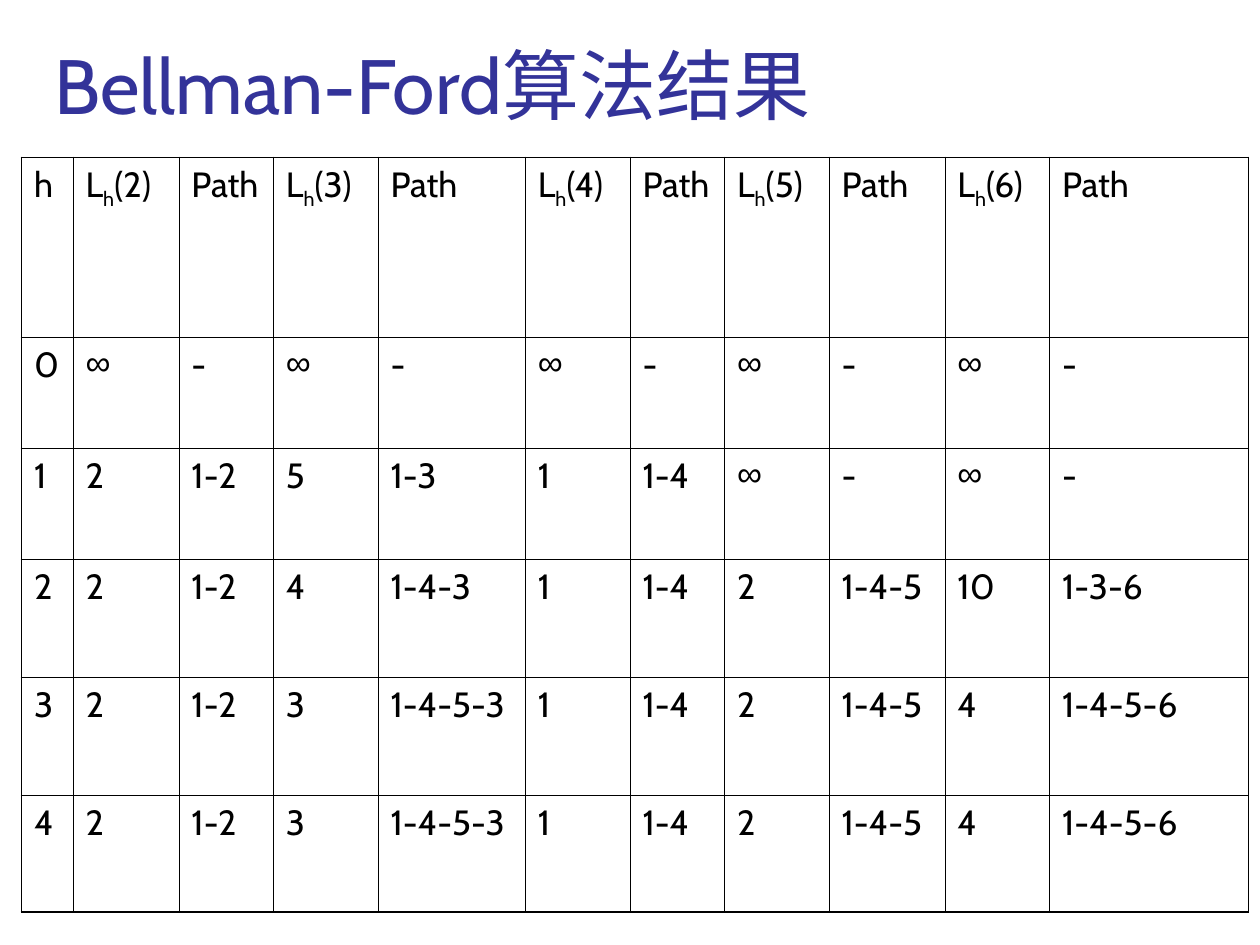
from lxml.etree import SubElement
from pptx import Presentation
from pptx.dml.color import RGBColor
from pptx.enum.text import MSO_ANCHOR, MSO_AUTO_SIZE, PP_ALIGN
from pptx.oxml.ns import qn
from pptx.util import Inches, Pt

TITLE_BOX = (0.33, 0.25, 9.34, 1.25)
TABLE_BOX = (0.17, 1.25, 9.75, 6)
COLUMN_WIDTHS = (0.41, 0.84, 0.75, 0.83, 1.17, 0.83, 0.75, 0.83, 0.92, 0.83, 1.58)
ROW_HEIGHTS = (1.43, 0.88, 0.88, 0.94, 0.93, 0.93)
NODES = range(2, 7)
OUTER, INNER = 1.08, 0.45

# One row per value of h: the label, then a cost and a path for each node
RESULTS = [
    "0 ∞ - ∞ - ∞ - ∞ - ∞ -",
    "1 2 1-2 5 1-3 1 1-4 ∞ - ∞ -",
    "2 2 1-2 4 1-4-3 1 1-4 2 1-4-5 10 1-3-6",
    "3 2 1-2 3 1-4-5-3 1 1-4 2 1-4-5 4 1-4-5-6",
    "4 2 1-2 3 1-4-5-3 1 1-4 2 1-4-5 4 1-4-5-6",
]


def color(value):
    return RGBColor.from_string(value)


def add_text(para, text, size=20, font="Cabin", fill="000000", baseline=0):
    span = para.add_run()
    span.text = text
    span.font.size = Pt(size)
    span.font.name = font
    span.font.color.rgb = color(fill)
    if baseline:
        span._r.get_or_add_rPr().set("baseline", str(baseline * 1000))


def set_borders(cell, widths, fill="000000"):
    properties = cell._tc.get_or_add_tcPr()
    for side, width in zip("LRTB", widths):
        line = SubElement(properties, qn(f"a:ln{side}"), w=str(Pt(width)))
        solid = SubElement(line, qn("a:solidFill"))
        SubElement(solid, qn("a:srgbClr"), val=fill)


def place_title(page, box):
    title = page.shapes.title
    title.left, title.top, title.width, title.height = map(Inches, box)
    frame = title.text_frame
    frame.auto_size = MSO_AUTO_SIZE.NONE
    frame.vertical_anchor = MSO_ANCHOR.TOP
    para = frame.paragraphs[0]
    para.alignment = PP_ALIGN.LEFT
    add_text(para, "Bellman-Ford算法结果", size=44, fill="333399")


def fill_header(table):
    add_text(table.cell(0, 0).text_frame.paragraphs[0], "h")
    for index, node in enumerate(NODES):
        cost, route = (table.cell(0, 2 * index + k).text_frame.paragraphs[0] for k in (1, 2))
        add_text(cost, "L")
        add_text(cost, "h", baseline=-25)
        add_text(cost, f"({node})")
        add_text(route, "Path")


def place_results(page, box):
    rows, columns = len(ROW_HEIGHTS), len(COLUMN_WIDTHS)
    table = page.shapes.add_table(rows, columns, *map(Inches, box)).table
    table.first_row = table.horz_banding = False
    for column, width in zip(table.columns, COLUMN_WIDTHS):
        column.width = Inches(width)
    for row, height in zip(table.rows, ROW_HEIGHTS):
        row.height = Inches(height)

    # Heavier frame around a thin grid
    for r in range(rows):
        for c in range(columns):
            cell = table.cell(r, c)
            on_frame = (c == 0, c == columns - 1, r == 0, r == rows - 1)
            set_borders(cell, [OUTER if edge else INNER for edge in on_frame])
            cell.fill.background()

    # Header, then the values
    fill_header(table)
    for r, result in enumerate(RESULTS, start=1):
        for c, value in enumerate(result.split()):
            add_text(table.cell(r, c).text_frame.paragraphs[0], value,
                     font="Arial" if value == "∞" else "Cabin")


def main():
    deck = Presentation()
    deck.slide_width, deck.slide_height = Inches(10), Inches(7.5)
    page = deck.slides.add_slide(deck.slide_layouts[5])
    place_title(page, TITLE_BOX)
    place_results(page, TABLE_BOX)
    deck.save("out.pptx")


if __name__ == "__main__":
    main()
